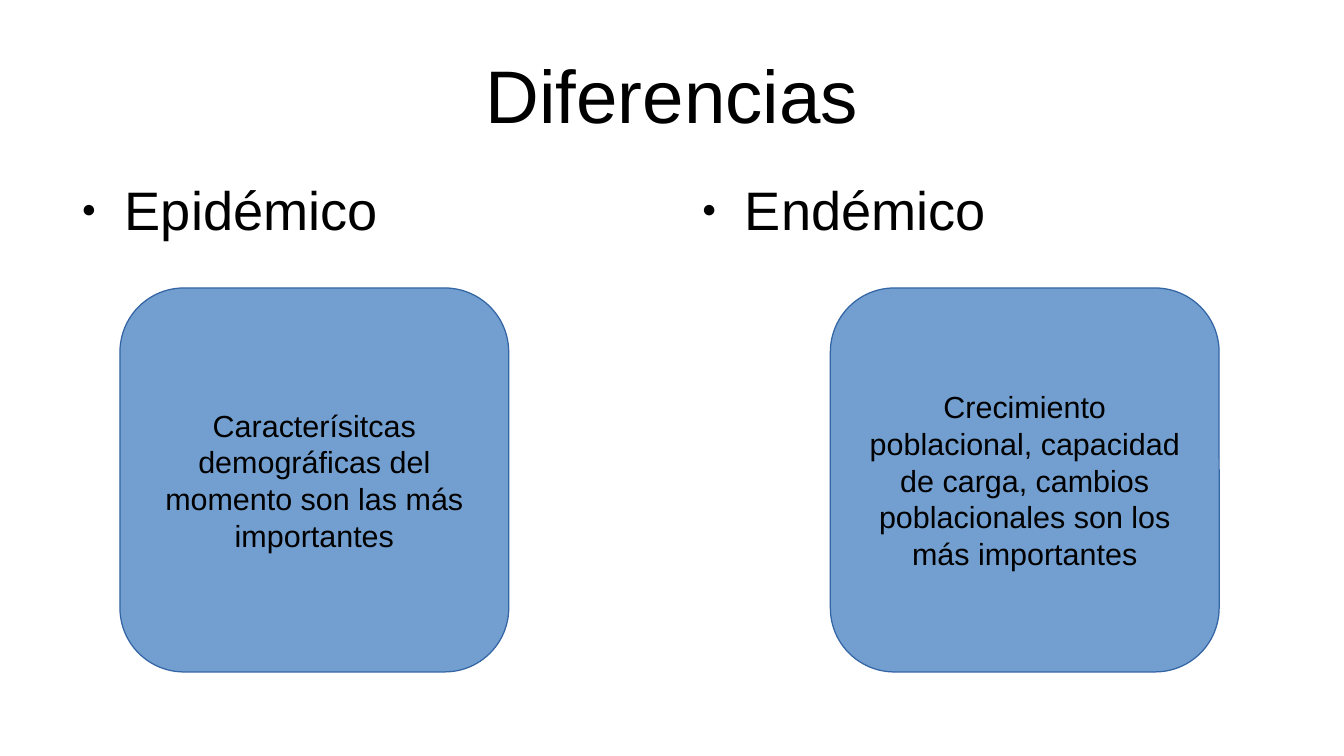
from lxml import etree
from pptx import Presentation
from pptx import util as u
from pptx.dml.color import RGBColor
from pptx.enum import shapes, text
from pptx.oxml import ns


def tint(code):
    """Turn a hex string into a colour."""
    return RGBColor.from_string(code)


def place(shape, box):
    """Move a shape to a box of left, top, width and height in centimetres."""
    shape.left, shape.top, shape.width, shape.height = map(u.Cm, box)


def write(shape, words, size, align, anchor, inset=(0, 0)):
    """Fill a shape with one formatted paragraph and return it."""
    frame = shape.text_frame
    frame.text = words
    frame.word_wrap = True
    frame.auto_size = text.MSO_AUTO_SIZE.NONE
    frame.vertical_anchor = anchor
    frame.margin_left = frame.margin_right = u.Cm(inset[0])
    frame.margin_top = frame.margin_bottom = u.Cm(inset[1])
    para = frame.paragraphs[0]
    para.alignment = align
    para.font.name = "Arial"
    para.font.size = u.Pt(size)
    para.font.color.rgb = tint("000000")
    return para


def dot(para):
    """Give a paragraph a small black bullet with a hanging indent."""
    para.space_before = u.Pt(14.2)
    props = para._p.get_or_add_pPr()
    props.set("marL", str(u.Cm(1.2)))
    props.set("indent", str(u.Cm(-0.9)))
    color = etree.Element(ns.qn("a:buClr"))
    etree.SubElement(color, ns.qn("a:srgbClr"), val="000000")
    size = etree.Element(ns.qn("a:buSzPct"), val="45000")
    char = etree.Element(ns.qn("a:buChar"), char="●")
    last = props.find(ns.qn("a:defRPr"))
    for item in (color, size, char):
        last.addprevious(item)


def title(slide, box, words):
    """Place the slide title in its box."""
    place(slide.shapes.title, box)
    write(slide.shapes.title, words, 44, text.PP_ALIGN.CENTER, text.MSO_ANCHOR.MIDDLE)


def card(slide, box, words):
    """Draw a rounded card with centred text."""
    shape = slide.shapes.add_shape(shapes.MSO_SHAPE.ROUNDED_RECTANGLE, 0, 0, 0, 0)
    place(shape, box)
    shape.shadow.inherit = False
    shape.fill.solid()
    shape.fill.fore_color.rgb = tint("729FCF")
    shape.line.color.rgb = tint("3465A4")
    shape.line.width = u.Pt(0)
    write(shape, words, 18, text.PP_ALIGN.CENTER, text.MSO_ANCHOR.MIDDLE, (0.25, 0.13))


def column(slide, box, index, head, words, shift):
    """Place a bulleted heading with a card below, shifted from the left edge."""
    left, top = box[:2]
    body = slide.placeholders[index]
    place(body, box)
    dot(write(body, head, 32, text.PP_ALIGN.LEFT, text.MSO_ANCHOR.TOP))
    card(slide, (left + shift, top + 2.32, 8.1, 8), words)


def main():
    """Build and save the slide."""
    deck = Presentation()
    deck.slide_width, deck.slide_height = u.Cm(28), u.Cm(15.75)
    slide = deck.slides.add_slide(deck.slide_layouts[3])
    title(slide, (1.4, 0.63, 25.2, 2.63), "Diferencias")
    columns = (
        ("Epidémico", "Caracterísitcas demográficas del momento son las más importantes", 1.1),
        ("Endémico", "Crecimiento poblacional, capacidad de carga, cambios poblacionales "
         "son los más importantes", 2.98),
    )
    for i, (head, words, shift) in enumerate(columns):
        column(slide, (1.4 + 12.92 * i, 3.68, 12.3, 9.14), i + 1, head, words, shift)
    deck.save("out.pptx")


if __name__ == "__main__":
    main()
